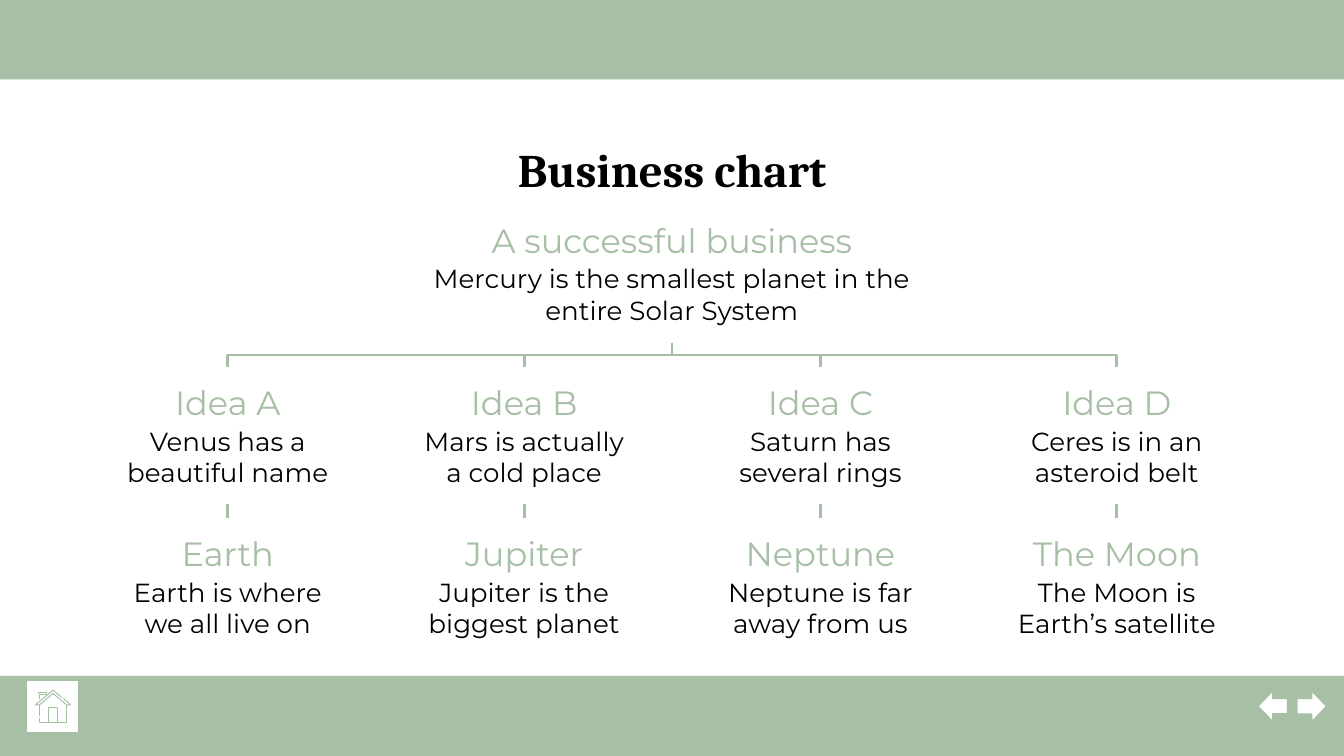
from pptx import Presentation
from pptx.dml.color import RGBColor
from pptx.enum.shapes import MSO_CONNECTOR, MSO_SHAPE
from pptx.enum.text import MSO_ANCHOR, PP_ALIGN
from pptx.oxml.ns import qn
from pptx.util import Pt
from lxml import etree

SCALE = 4572  # EMU per px, 200 px to the inch
SAGE = RGBColor(0xA6, 0xBF, 0xA5)
WHITE = RGBColor(0xFF, 0xFF, 0xFF)
BLACK = RGBColor(0x00, 0x00, 0x00)
SLIDE_WIDTH, SLIDE_HEIGHT = 2000, 1125
BAND_HEIGHT = 124
BOX_WIDTH = 364
FIRST_LEFT, COLUMN_STEP = 157, 441
ROOT_TOP, IDEA_TOP, PLANET_TOP = 305, 547, 771
TRUNK_X, TRUNK_TOP = 1000, 510

ROOT = ("A successful business", "Mercury is the smallest planet in the entire Solar System")
COLUMNS = [
    (("Idea A", "Venus has a beautiful name"), ("Earth", "Earth is where we all live on")),
    (("Idea B", "Mars is actually a cold place"), ("Jupiter", "Jupiter is the biggest planet")),
    (("Idea C", "Saturn has several rings"), ("Neptune", "Neptune is far away from us")),
    (("Idea D", "Ceres is in an asteroid belt"), ("The Moon", "The Moon is Earth’s satellite")),
]
HOUSE_STROKES = [
    [(92, 1038), (79, 1027), (53, 1049), (59, 1049), (79, 1032), (99, 1049), (105, 1049), (94, 1039)],
    [(59, 1065), (59, 1049)],
    [(59, 1068), (59, 1075), (99, 1075), (99, 1049)],
    [(73, 1075), (73, 1053), (85, 1053), (85, 1075)],
    [(59, 1041), (59, 1033), (68, 1033), (68, 1035)],
    [(58, 1033), (58, 1030), (69, 1030), (69, 1034)],
]


def emu(px):
    return round(px * SCALE)


class ChartSlide:
    def __init__(self, presentation):
        self.slide = presentation.slides.add_slide(presentation.slide_layouts[6])
        self.shapes = self.slide.shapes

    def shape(self, kind, left, top, width, height, fill, line=None):
        shape = self.shapes.add_shape(kind, emu(left), emu(top), emu(width), emu(height))
        shape.shadow.inherit = False
        shape.fill.solid()
        shape.fill.fore_color.rgb = fill
        if line is None:
            shape.line.fill.background()
        else:
            shape.line.color.rgb = line
            shape.line.width = Pt(0.75)
        return shape

    def text(self, text, left, top, width, height, size, color,
             font="Montserrat", bold=False, anchor=MSO_ANCHOR.TOP):
        box = self.shapes.add_textbox(emu(left), emu(top), emu(width), emu(height))
        frame = box.text_frame
        frame.word_wrap = True
        frame.vertical_anchor = anchor
        frame.margin_left = frame.margin_right = emu(20)
        frame.margin_top = frame.margin_bottom = emu(20)
        paragraph = frame.paragraphs[0]
        paragraph.text = text
        paragraph.alignment = PP_ALIGN.CENTER
        paragraph.font.name = font
        paragraph.font.size = Pt(size)
        paragraph.font.bold = bold
        paragraph.font.color.rgb = color

    def node(self, content, left, top, width):
        heading, body = content
        self.text(body, left, top + 66, width, 138, 14, BLACK)
        self.text(heading, left, top, width, 102, 18, SAGE, anchor=MSO_ANCHOR.BOTTOM)

    def connector(self, kind, x1, y1, x2, y2):
        connector = self.shapes.add_connector(kind, emu(x1), emu(y1), emu(x2), emu(y2))
        connector.line.color.rgb = SAGE
        connector.line.width = Pt(1.5)
        etree.SubElement(connector._element.spPr, qn("a:effectLst"))
        return connector

    def branch(self, x1, y1, x2, y2):
        """Elbow that leaves downwards: a sideways elbow turned about its centre."""
        center_x, center_y = (x1 + x2) / 2, (y1 + y2) / 2
        half_width, half_height = (y2 - y1) / 2, abs(x2 - x1) / 2
        goes_right = x2 > x1
        if goes_right:
            half_width = -half_width
        connector = self.connector(
            MSO_CONNECTOR.ELBOW, center_x - half_width, center_y - half_height,
            center_x + half_width, center_y + half_height)
        transform = connector._element.spPr.find(qn("a:xfrm"))
        transform.set("rot", str((270 if goes_right else 90) * 60000))

    def strokes(self, lines):
        start = lines[0][0]
        builder = self.shapes.build_freeform(*start, scale=SCALE)
        for index, points in enumerate(lines):
            if index:
                builder.move_to(*points[0])
            builder.add_line_segments(points[1:], close=False)
        shape = builder.convert_to_shape()
        shape.shadow.inherit = False
        shape.fill.background()
        shape.line.color.rgb = SAGE
        shape.line.width = Pt(0.5)


def main():
    presentation = Presentation()
    presentation.slide_width = emu(SLIDE_WIDTH)
    presentation.slide_height = emu(SLIDE_HEIGHT)
    chart = ChartSlide(presentation)

    # Bands and title
    for top in (-6, 1006):
        chart.shape(MSO_SHAPE.RECTANGLE, 0, top, SLIDE_WIDTH, BAND_HEIGHT, SAGE)
    chart.text("Business chart", 156, 190, 1688, 120, 25, BLACK, font="Cambria", bold=True)

    # Tree: root, then two nodes in each column
    chart.node(ROOT, 620, ROOT_TOP, 760)
    for index, (idea, planet) in enumerate(COLUMNS):
        left = FIRST_LEFT + index * COLUMN_STEP
        center = left + BOX_WIDTH // 2
        chart.node(idea, left, IDEA_TOP, BOX_WIDTH)
        chart.node(planet, left, PLANET_TOP, BOX_WIDTH)
        chart.branch(TRUNK_X, TRUNK_TOP, center, IDEA_TOP)
        chart.connector(MSO_CONNECTOR.STRAIGHT, center, 750, center, PLANET_TOP)

    # Navigation arrows and home button
    for left, rotation in ((1872, 0), (1930, 180)):
        arrow = chart.shape(MSO_SHAPE.LEFT_ARROW, left, 1028, 44, 46, WHITE, SAGE)
        arrow.rotation = rotation
    chart.shape(MSO_SHAPE.RECTANGLE, 39, 1012, 78, 78, WHITE, SAGE)
    chart.strokes(HOUSE_STROKES)

    presentation.save("out.pptx")


if __name__ == "__main__":
    main()
